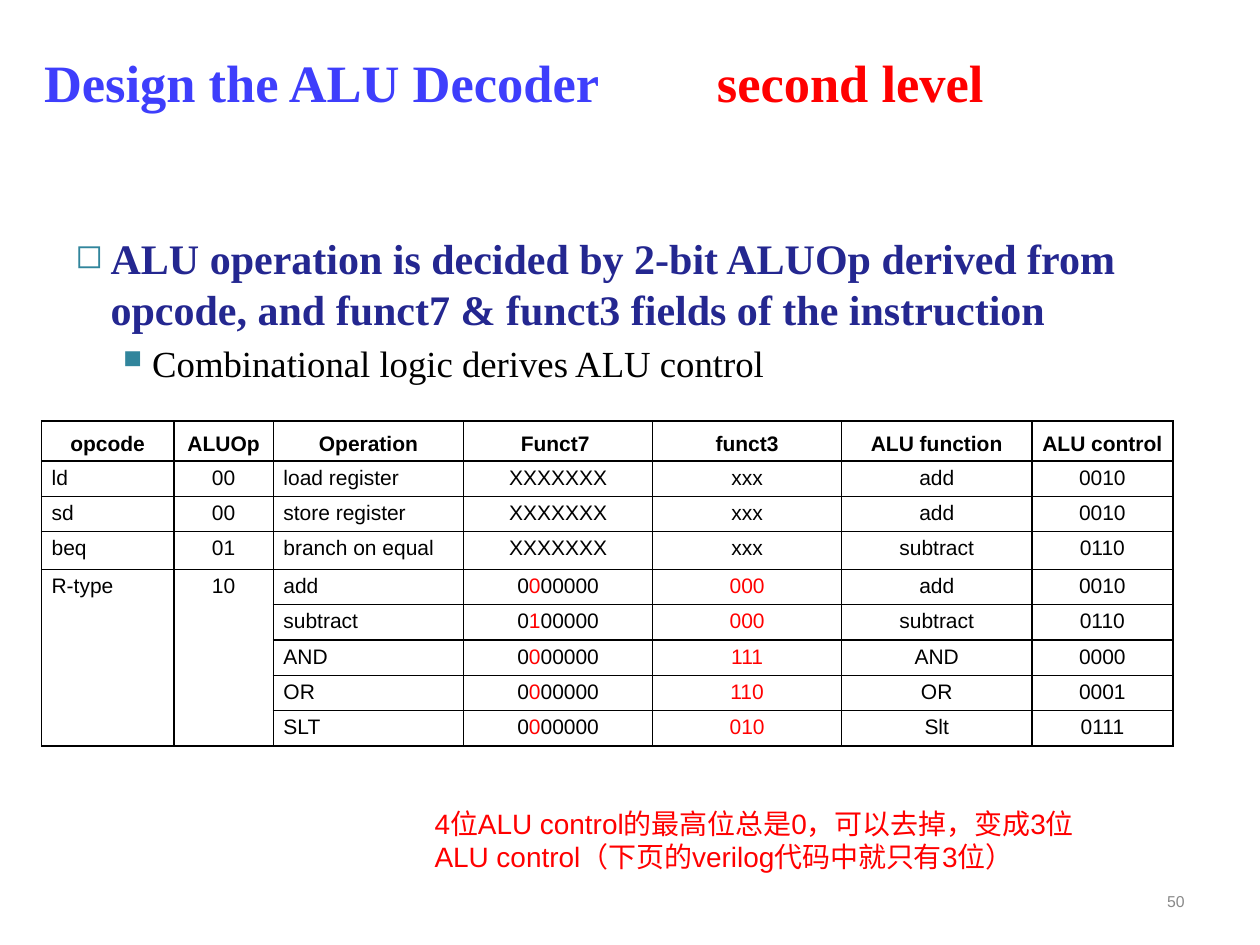
import pptx
import pptx.util
import pptx.dml.color
import pptx.enum.text
import pptx.oxml
from lxml import etree

Inches = pptx.util.Inches
Pt = pptx.util.Pt
Color = pptx.dml.color.RGBColor
Align = pptx.enum.text.PP_ALIGN
Anchor = pptx.enum.text.MSO_ANCHOR

BLUE = Color(0x3E, 0x3E, 0xFC)
NAVY = Color(0x24, 0x27, 0x90)
RED = Color(0xFF, 0, 0)
BLACK = Color(0, 0, 0)
WHITE = Color(0xFF, 0xFF, 0xFF)
GREY = Color(0x89, 0x89, 0x89)
TEAL = Color(0x31, 0x85, 0x9C)


def write(para, text, size=12, face="Arial", color=BLACK, bold=False, align=Align.LEFT):
    para.alignment = align
    run = para.add_run()
    run.text = text
    run.font.size = Pt(size)
    run.font.name = face
    run.font.bold = bold
    run.font.color.rgb = color


def add(parent, tag, **attrs):
    node = etree.SubElement(parent, pptx.oxml.ns.qn(tag))
    for key, value in attrs.items():
        node.set(key, str(value))
    return node


deck = pptx.Presentation()
deck.slide_width, deck.slide_height = Inches(10), Inches(7.5)
slide = deck.slides.add_slide(deck.slide_layouts[5])

title = slide.shapes.title
title.left, title.top = Inches(0.25), Inches(0.13)
title.width, title.height = Inches(8.61), Inches(1.04)
title.text_frame.vertical_anchor = Anchor.MIDDLE
para = title.text_frame.paragraphs[0]
tabs = add(para._p.get_or_add_pPr(), "a:tabLst")
add(tabs, "a:tab", pos=Inches(5.34), algn="l")
write(para, "Design the ALU Decoder\t", size=30, face="Times New Roman", color=BLUE, bold=True)
write(para, "second level", size=30, face="Times New Roman", color=RED, bold=True)

body = slide.shapes.add_textbox(Inches(0.5), Inches(1.8), Inches(9), Inches(1.5))
frame = body.text_frame
frame.word_wrap = True
points = [
    ("ALU operation is decided by 2-bit ALUOp derived from opcode, "
     "and funct7 & funct3 fields of the instruction", "◻", 80, 0.28, 0.28, 24, NAVY, True),
    ("Combinational logic derives ALU control", "■", 70, 0.61, 0.23, 21, BLACK, False),
]
for level, (text, mark, scale, left, hang, size, color, bold) in enumerate(points):
    para = frame.add_paragraph() if level else frame.paragraphs[0]
    para.level = level
    props = para._p.get_or_add_pPr()
    props.set("marL", str(Inches(left)))
    props.set("indent", str(-Inches(hang)))
    tint = add(props, "a:buClr")
    add(tint, "a:srgbClr", val=TEAL)
    add(props, "a:buSzPct", val=scale * 1000)
    add(props, "a:buChar", char=mark)
    if level:
        para.space_before = Pt(4)
    write(para, text, size=size, face="Times New Roman", color=color, bold=bold)

rows = [
    ["opcode", "ALUOp", "Operation", "Funct7 ", "funct3", "ALU function", "ALU control"],
    ["ld", "00", "load register", "XXXXXXX", "xxx", "add", "0010"],
    ["sd", "00", "store register", "XXXXXXX", "xxx", "add", "0010"],
    ["beq", "01", "branch on equal", "XXXXXXX", "xxx", "subtract", "0110"],
    ["R-type", "10", "add", "0000000", "000", "add", "0010"],
    ["", "", "subtract", "0100000", "000", "subtract", "0110"],
    ["", "", "AND", "0000000", "111", "AND", "0000"],
    ["", "", "OR", "0000000", "110", "OR", "0001"],
    ["", "", "SLT", "0000000", "010", "Slt", "0111"],
]
widths = [1.05, 0.79, 1.51, 1.5, 1.5, 1.51, 1.12]
heights = [0.32, 0.27, 0.27, 0.3] + [0.27] * 5
group = 4

grid = slide.shapes.add_table(len(rows), len(widths), Inches(0.33), Inches(3.34),
                              Inches(sum(widths)), Inches(sum(heights))).table
for col, width in zip(grid.columns, widths):
    col.width = Inches(width)
for row, height in zip(grid.rows, heights):
    row.height = Inches(height)

for r, row in enumerate(rows):
    for c, text in enumerate(row):
        cell = grid.cell(r, c)
        cell.margin_left = cell.margin_right = Inches(0.08)
        cell.margin_top = cell.margin_bottom = Inches(0.04)
        cell.vertical_anchor = Anchor.TOP if r else Anchor.BOTTOM
        props = cell._tc.get_or_add_tcPr()
        for side in ("a:lnL", "a:lnR", "a:lnT", "a:lnB"):
            line = add(props, side, w=Pt(1))
            add(add(line, "a:solidFill"), "a:srgbClr", val=BLACK)
        cell.fill.solid()
        cell.fill.fore_color.rgb = WHITE
        para = cell.text_frame.paragraphs[0]
        align = Align.LEFT if r and c in (0, 2) else Align.CENTER
        if r >= group and c == 3:
            parts = [(text[0], BLACK), (text[1], RED), (text[2:], BLACK)]
        else:
            parts = [(text, RED if r >= group and c == 4 else BLACK)]
        for part, color in parts:
            if part:
                write(para, part, color=color, bold=r == 0, align=align)
for c in (0, 1):
    grid.cell(group, c).merge(grid.cell(len(rows) - 1, c))

note = slide.shapes.add_textbox(Inches(3.35), Inches(6.35), Inches(5.51), Inches(0.64))
note.text_frame.word_wrap = True
write(note.text_frame.paragraphs[0],
      "4位ALU control的最高位总是0，可以去掉，变成3位ALU control（下页的verilog代码中就只有3位）",
      size=16, color=RED)

page = slide.shapes.add_textbox(Inches(7.17), Inches(6.95), Inches(2.33), Inches(0.4))
page.text_frame.word_wrap = True
page.text_frame.vertical_anchor = Anchor.MIDDLE
write(page.text_frame.paragraphs[0], "50", size=9, color=GREY, align=Align.RIGHT)

deck.save("out.pptx")
